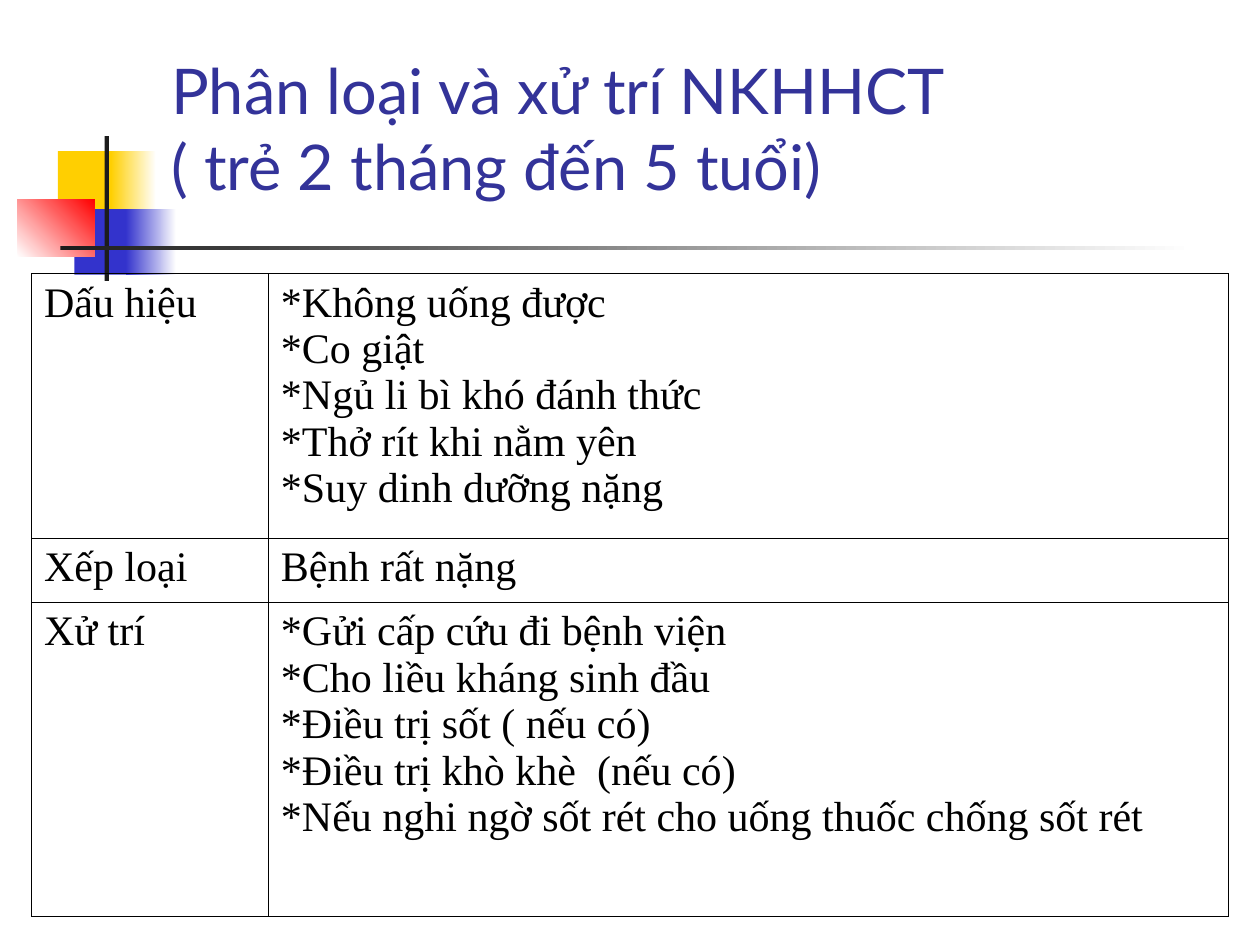
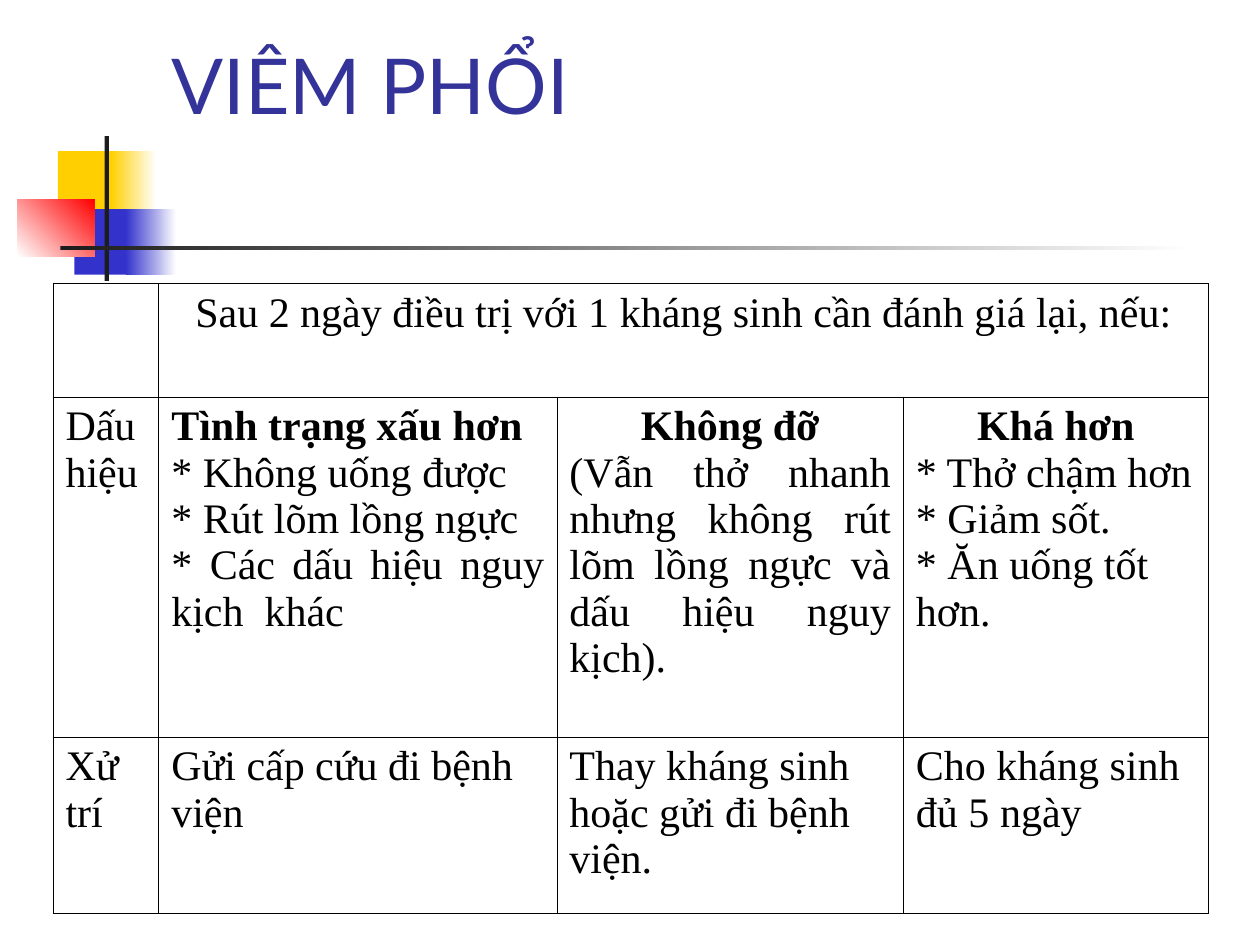
import pptx
import pptx.util
import pptx.oxml
import pptx.dml.color
import pptx.enum.shapes
import pptx.enum.text
from dataclasses import dataclass


@dataclass(frozen=True)
class Theme:
    title_font: str = "Lato"
    table_font: str = "Times New Roman"
    title_size: int = 36
    short_title_size: int = 44
    table_size: int = 24
    border_width: float = 0.45
    title: str = "333399"
    text: str = "000000"
    white: str = "FFFFFF"
    yellow: str = "FFCF01"
    blue: str = "3333CC"
    red: str = "FF0000"
    dark: str = "1C1C1C"


theme = Theme()
Color = pptx.dml.color.RGBColor.from_string
Align = pptx.enum.text.PP_ALIGN

deck = pptx.Presentation()
deck.slide_width = pptx.util.Inches(10)
deck.slide_height = pptx.util.Inches(7.5)
title_only = deck.slide_layouts[5]


def place(left, top, width, height):
    """Turn percentages of the slide into a position and a size."""
    across, down = deck.slide_width / 100, deck.slide_height / 100
    return [round(length) for length in
            (left * across, top * down, width * across, height * down)]


def style(para, font, size, color):
    para.font.name = font
    para.font.size = pptx.util.Pt(size)
    para.font.color.rgb = Color(color)


# Each ornament: left, top, width, height, start colour, end colour, angle
ornaments = [
    (4.6, 16, 4.8, 6.93, theme.yellow, None, 0),
    (8.8, 16, 3.6, 6.93, theme.yellow, theme.white, 0),
    (5.9, 22.13, 4.6, 6.93, theme.blue, None, 0),
    (10, 22.13, 4, 6.93, theme.blue, theme.white, 0),
    (1.4, 21.07, 6.1, 6.13, theme.white, theme.red, 45),
    (8.3, 14.4, 0.35, 15.33, theme.dark, None, 0),
    (4.8, 26, 90, 0.45, theme.dark, theme.white, 0),
]

# Each slide: title, title top and height, title size,
# table left and top, column widths, row heights, cell texts
pages = [
    ("Phân loại và xử trí NKHHCT \v( trẻ 2 tháng đến 5 tuổi)",
     3.07, 19.07, theme.title_size,
     2.5, 28.93, [18.8, 76.2], [28, 6.8, 33.2],
     [["Dấu hiệu",
       "*Không uống được\n*Co giật\n*Ngủ li bì khó đánh thức\n"
       "*Thở rít khi nằm yên\n*Suy dinh dưỡng nặng"],
      ["Xếp loại", "Bệnh rất nặng"],
      ["Xử trí",
       "*Gửi cấp cứu đi bệnh viện\n*Cho liều kháng sinh đầu\n"
       "*Điều trị sốt ( nếu có)\n*Điều trị khò khè  (nếu có)\n"
       "*Nếu nghi ngờ sốt rét cho uống thuốc chống sốt rét"]]),
    ("VIÊM PHỔI",
     3.07, 11.33, theme.short_title_size,
     4.2, 30, [8.4, 31.6, 27.5, 24.2], [12, 36, 18.67],
     [["", "Sau 2 ngày điều trị với 1 kháng sinh cần đánh giá lại, nếu:"],
      ["Dấu hiệu",
       "Tình trạng xấu hơn\n* Không uống được\n* Rút lõm lồng ngực\n"
       "* Các dấu hiệu nguy kịch  khác",
       "Không đỡ\n(Vẫn thở nhanh nhưng không rút lõm lồng ngực "
       "và dấu hiệu nguy kịch).",
       "Khá hơn\n* Thở chậm hơn\n* Giảm sốt.\n* Ăn uống tốt hơn."],
      ["Xử trí", "Gửi cấp cứu đi bệnh viện",
       "Thay kháng sinh hoặc gửi đi bệnh viện.",
       "Cho kháng sinh đủ 5 ngày"]]),
]

tables = []
for (title, title_top, title_height, title_size,
     left, top, widths, heights, texts) in pages:
    page = deck.slides.add_slide(title_only)
    heading = page.shapes.title
    heading.left, heading.top, heading.width, heading.height = place(
        12.6, title_top, 85.2, title_height)
    frame = heading.text_frame
    frame.text = title
    frame.auto_size = pptx.enum.text.MSO_AUTO_SIZE.NONE
    frame.vertical_anchor = pptx.enum.text.MSO_ANCHOR.BOTTOM
    frame.paragraphs[0].alignment = Align.LEFT
    style(frame.paragraphs[0], theme.title_font, title_size, theme.title)

    table = page.shapes.add_table(
        len(heights), len(widths),
        *place(left, top, sum(widths), sum(heights))).table
    table.first_row = table.horz_banding = False
    for column, width in zip(table.columns, widths):
        column.width = place(0, 0, width, 0)[2]
    for row, height in zip(table.rows, heights):
        row.height = place(0, 0, 0, height)[3]

    for cell in table.iter_cells():
        properties = cell._tc.get_or_add_tcPr()
        for side in ("lnL", "lnR", "lnT", "lnB"):
            properties.append(pptx.oxml.parse_xml(
                f'<a:{side} xmlns:a="http://schemas.openxmlformats.org/drawingml/2006/main"'
                f' w="{pptx.util.Pt(theme.border_width)}"><a:solidFill>'
                f'<a:srgbClr val="{theme.text}"/></a:solidFill></a:{side}>'))
        cell.fill.background()
    for row, row_texts in enumerate(texts):
        for column, text in enumerate(row_texts):
            cell = table.cell(row, column)
            cell.text = text
            for para in cell.text_frame.paragraphs:
                style(para, theme.table_font, theme.table_size, theme.text)
    tables.append(table)

# The pneumonia table has a merged header and bold headings over each outcome
outcomes = tables[1]
outcomes.cell(0, 1).merge(outcomes.cell(0, 3))
outcomes.cell(0, 1).text_frame.paragraphs[0].alignment = Align.CENTER
outcome_aligns = [(Align.JUSTIFY, Align.JUSTIFY),
                  (Align.CENTER, Align.JUSTIFY),
                  (Align.CENTER, Align.LEFT)]
for column, (head_align, body_align) in enumerate(outcome_aligns, start=1):
    head, *body = outcomes.cell(1, column).text_frame.paragraphs
    head.font.bold = True
    head.alignment = head_align
    for para in body:
        para.alignment = body_align

# Ornaments are drawn once and moved to the layout that both slides share
for number, (left, top, width, height, start, end, angle) in enumerate(ornaments):
    block = deck.slides[0].shapes.add_shape(
        pptx.enum.shapes.MSO_SHAPE.RECTANGLE, *place(left, top, width, height))
    block.shadow.inherit = False
    block.line.fill.background()
    if end is None:
        block.fill.solid()
        block.fill.fore_color.rgb = Color(start)
    else:
        block.fill.gradient()
        block.fill.gradient_angle = angle
        for stop, color in zip(block.fill.gradient_stops, (start, end)):
            stop.color.rgb = Color(color)
    block.element.nvSpPr.cNvPr.set("id", str(20 + number))
    title_only.shapes.element.append(block.element)

deck.save("out.pptx")
